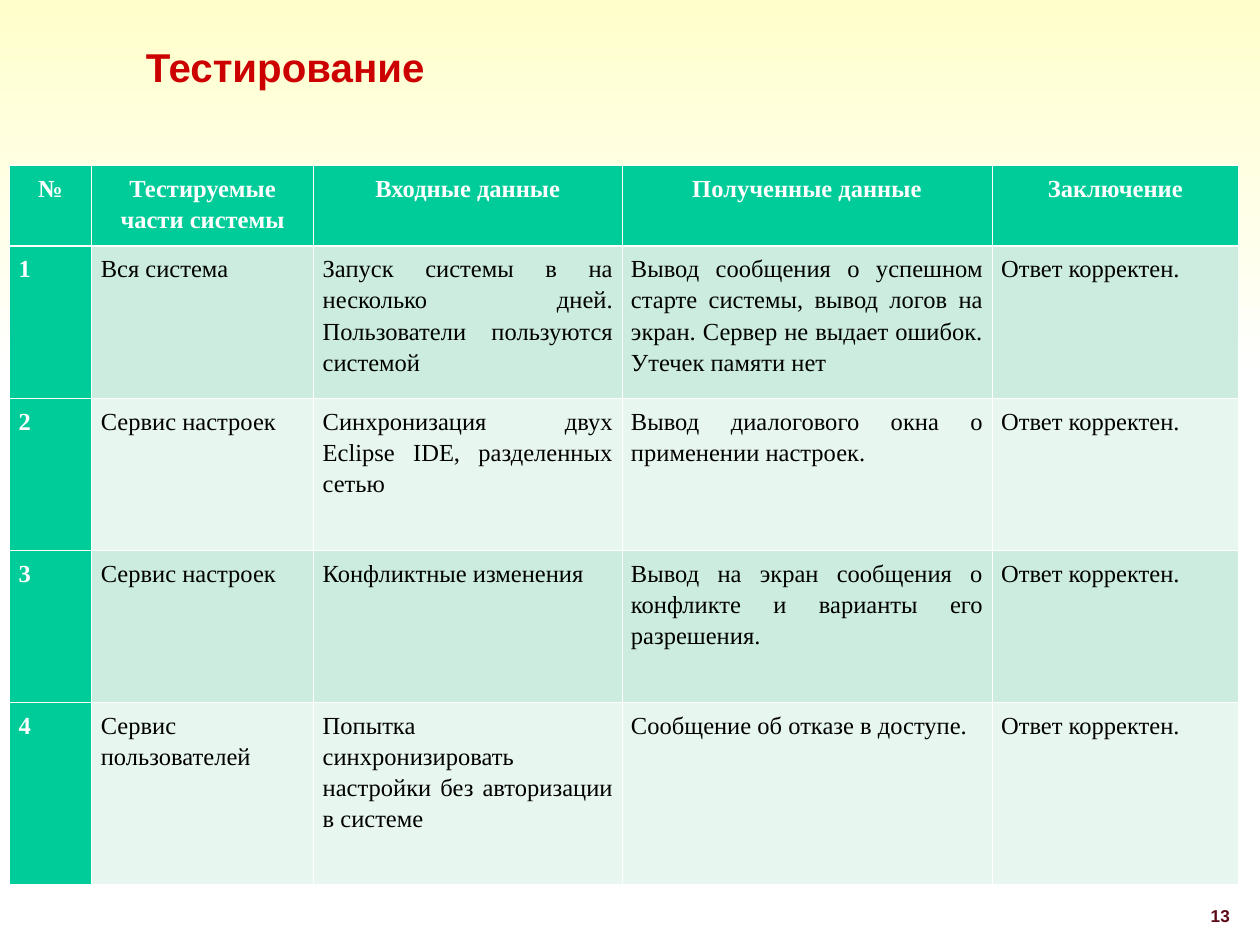
from lxml.etree import SubElement
from pptx import Presentation
from pptx.dml.color import RGBColor
from pptx.enum.shapes import MSO_SHAPE as Shape
from pptx.enum.text import MSO_ANCHOR as Anchor, PP_ALIGN as Align
from pptx.oxml.ns import qn
from pptx.util import Pt

COLUMN_WIDTHS = [47, 126.8, 176.2, 211.5, 141]
ROW_HEIGHTS = [43, 87, 87, 87, 104]
COLUMN_ALIGNS = [Align.LEFT, Align.LEFT, Align.JUSTIFY, Align.JUSTIFY, Align.LEFT]
HEADER = ["№", "Тестируемые части системы", "Входные данные",
          "Полученные данные", "Заключение"]
PASSED = "Ответ корректен."
TESTS = [
    ["1", "Вся система",
     "Запуск системы в на несколько дней. Пользователи пользуются системой",
     "Вывод сообщения о успешном старте системы, вывод логов на экран. "
     "Сервер не выдает ошибок. Утечек памяти нет", PASSED],
    ["2", "Сервис настроек",
     "Синхронизация двух Eclipse IDE, разделенных сетью",
     "Вывод диалогового окна о применении настроек.", PASSED],
    ["3", "Сервис настроек", "Конфликтные изменения",
     "Вывод на экран сообщения о конфликте и варианты его разрешения.", PASSED],
    ["4", "Сервис пользователей",
     "Попытка синхронизировать настройки без авторизации в системе",
     "Сообщение об отказе в доступе.", PASSED],
]


def color(hex_code):
    return RGBColor.from_string(hex_code)


class TestingSlide:
    heading_font, table_font = "Arial", "Times New Roman"
    red, maroon, black, white = "CC0000", "5B0917", "000000", "FFFFFF"
    green, bands = "00CC99", ["E7F6EF", "CBECDE"]
    thin, thick = 0.45, 1.47

    def __init__(self, deck):
        self.slide = deck.slides.add_slide(deck.slide_layouts[6])

    def style(self, paragraph, font_name, size, hex_code, bold, align):
        paragraph.alignment = align
        for run in paragraph.runs:
            run.font.name, run.font.size, run.font.bold = font_name, Pt(size), bold
            run.font.color.rgb = color(hex_code)

    def gradient(self, left, top, width, height, start, end):
        band = self.slide.shapes.add_shape(
            Shape.RECTANGLE, Pt(left), Pt(top), Pt(width), Pt(height))
        band.shadow.inherit = False
        band.line.fill.background()
        band.fill.gradient()
        band.fill.gradient_angle = 270
        for stop, hex_code in zip(band.fill.gradient_stops, (start, end)):
            stop.color.rgb = color(hex_code)

    def text(self, content, left, top, width, height, size, hex_code,
             align=Align.LEFT, anchor=Anchor.TOP):
        frame = self.slide.shapes.add_textbox(
            Pt(left), Pt(top), Pt(width), Pt(height)).text_frame
        frame.word_wrap = True
        frame.vertical_anchor = anchor
        frame.text = content
        self.style(frame.paragraphs[0], self.heading_font, size, hex_code, True, align)
        return frame.paragraphs[0]

    def borders(self, cell, top, bottom):
        properties = cell._tc.get_or_add_tcPr()
        widths = {"a:lnL": self.thin, "a:lnR": self.thin, "a:lnT": top, "a:lnB": bottom}
        for position, (side, width) in enumerate(widths.items()):
            line = SubElement(properties, qn(side), w=str(int(Pt(width))))
            SubElement(SubElement(line, qn("a:solidFill")), qn("a:srgbClr"), val=self.white)
            properties.insert(position, line)

    def cell(self, cell, content, row, column):
        is_label = row == 0 or column == 0
        cell.margin_left = cell.margin_right = Pt(5.2)
        cell.margin_top = cell.margin_bottom = Pt(3.6)
        cell.fill.solid()
        cell.fill.fore_color.rgb = color(self.green if is_label else self.bands[row % 2])
        cell.text = content
        paragraph = cell.text_frame.paragraphs[0]
        paragraph.line_spacing = 1.15
        paragraph.space_after = Pt(10)
        self.style(paragraph, self.table_font, 14,
                   self.white if is_label else self.black, is_label,
                   COLUMN_ALIGNS[column] if row else Align.CENTER)
        self.borders(cell, self.thick if row == 1 else self.thin,
                     self.thick if row == 0 else self.thin)

    def table(self, rows, left, top):
        grid = self.slide.shapes.add_table(
            len(rows), len(COLUMN_WIDTHS), Pt(left), Pt(top),
            Pt(sum(COLUMN_WIDTHS)), Pt(sum(ROW_HEIGHTS))).table
        for column, width in zip(grid.columns, COLUMN_WIDTHS):
            column.width = Pt(width)
        for row, height in zip(grid.rows, ROW_HEIGHTS):
            row.height = Pt(height)
        for r, row in enumerate(rows):
            for c, content in enumerate(row):
                self.cell(grid.cell(r, c), content, r, c)


def main():
    deck = Presentation()
    deck.slide_width, deck.slide_height = Pt(720), Pt(540)
    testing = TestingSlide(deck)

    # Background
    testing.gradient(0, 0, 720, 219, "FFFFCC", "FFFFFF")

    # Title
    title = testing.text("Тестирование", 76.3, -2.2, 643.7, 85, 23, testing.red,
                         anchor=Anchor.MIDDLE)
    title.line_spacing = 0.8

    # Test results
    testing.table([HEADER] + TESTS, 5.4, 94.6)

    # Slide number
    testing.text("13", 649.4, 514, 60.5, 20, 9.8, testing.maroon, Align.RIGHT)

    deck.save("out.pptx")


if __name__ == "__main__":
    main()
